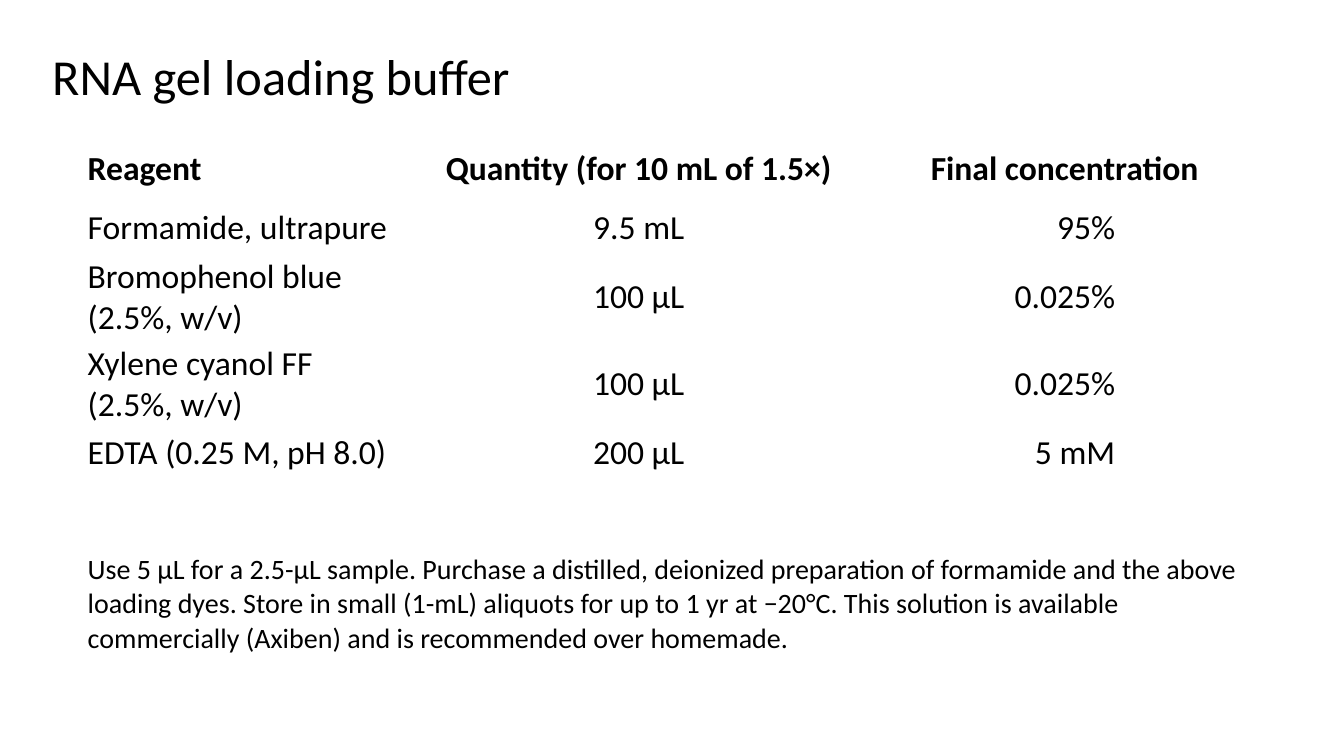
from pptx import Presentation
from pptx.dml.color import RGBColor
from pptx.enum.text import MSO_ANCHOR as Anchor, PP_ALIGN as Align
from pptx.util import Inches, Pt

TITLE = "RNA gel loading buffer"
REAGENTS = [
    ("Reagent", "Quantity (for 10 mL of 1.5×)", "Final concentration"),
    ("Formamide, ultrapure", "9.5 mL", "95%"),
    ("Bromophenol blue (2.5%, w/v)", "100 µL", "0.025%"),
    ("Xylene cyanol FF (2.5%, w/v)", "100 µL", "0.025%"),
    ("EDTA (0.25 M, pH 8.0)", "200 µL", "5 mM"),
]
NOTE = (
    "Use 5 µL for a 2.5-μL sample. Purchase a distilled, deionized preparation "
    "of formamide and the above loading dyes. Store in small (1-mL) aliquots for "
    "up to 1 yr at −20°C. This solution is available commercially (Axiben) and "
    "is recommended over homemade."
)
COLORS = {"text": "000000"}
FONT = "Calibri"
COLUMNS = (3.24, 4.55, 3.9)
ROWS = (0.66, 0.51, 0.86, 0.86, 0.51, 0.44, 1.61)
COLUMN_ALIGN = (Align.LEFT, Align.CENTER, Align.RIGHT)
CELL_SIDE, CELL_EDGE, CONCENTRATION_INDENT = 0.05, 0.03, 1.45


def write(frame, text, size=24, bold=False, align=Align.LEFT, spacing=1.0):
    paragraph = frame.paragraphs[0]
    paragraph.alignment = align
    paragraph.line_spacing = spacing
    run = paragraph.add_run()
    run.text = text
    run.font.name = FONT
    run.font.size = Pt(size)
    run.font.bold = bold
    run.font.color.rgb = RGBColor.from_string(COLORS["text"])


def write_cell(cell, text, indent=CELL_SIDE, **style):
    cell.vertical_anchor = Anchor.MIDDLE
    cell.margin_left, cell.margin_right = Inches(CELL_SIDE), Inches(indent)
    cell.margin_top = cell.margin_bottom = Inches(CELL_EDGE)
    write(cell.text_frame, text, **style)


def add_title(slide):
    title = slide.shapes.add_textbox(
        Inches(0.42), Inches(0.49), Inches(11.5), Inches(0.6)
    ).text_frame
    title.word_wrap = True
    title.vertical_anchor = Anchor.MIDDLE
    write(title, TITLE, size=36, spacing=0.9)


def add_recipe(slide):
    recipe = slide.shapes.add_table(
        len(ROWS), len(COLUMNS), Inches(0.82), Inches(1.35),
        Inches(sum(COLUMNS)), Inches(sum(ROWS)),
    ).table
    recipe.first_row = recipe.horz_banding = False
    for column, width in zip(recipe.columns, COLUMNS):
        column.width = Inches(width)
    for row, height in zip(recipe.rows, ROWS):
        row.height = Inches(height)
    for cell in recipe.iter_cells():
        cell.fill.background()

    for r, reagent in enumerate(REAGENTS):
        for c, text in enumerate(reagent):
            header = r == 0
            concentration = c == 2 and not header
            write_cell(
                recipe.cell(r, c), text, bold=header,
                align=Align.CENTER if header and c else COLUMN_ALIGN[c],
                indent=CONCENTRATION_INDENT if concentration else CELL_SIDE,
            )

    last = len(ROWS) - 1
    note = recipe.cell(last, 0)
    note.merge(recipe.cell(last, len(COLUMNS) - 1))
    write_cell(note, NOTE, size=20)


def main():
    deck = Presentation()
    deck.slide_width, deck.slide_height = Inches(13.33), Inches(7.5)
    slide = deck.slides.add_slide(deck.slide_layouts[6])
    add_title(slide)
    add_recipe(slide)
    deck.save("out.pptx")


if __name__ == "__main__":
    main()
